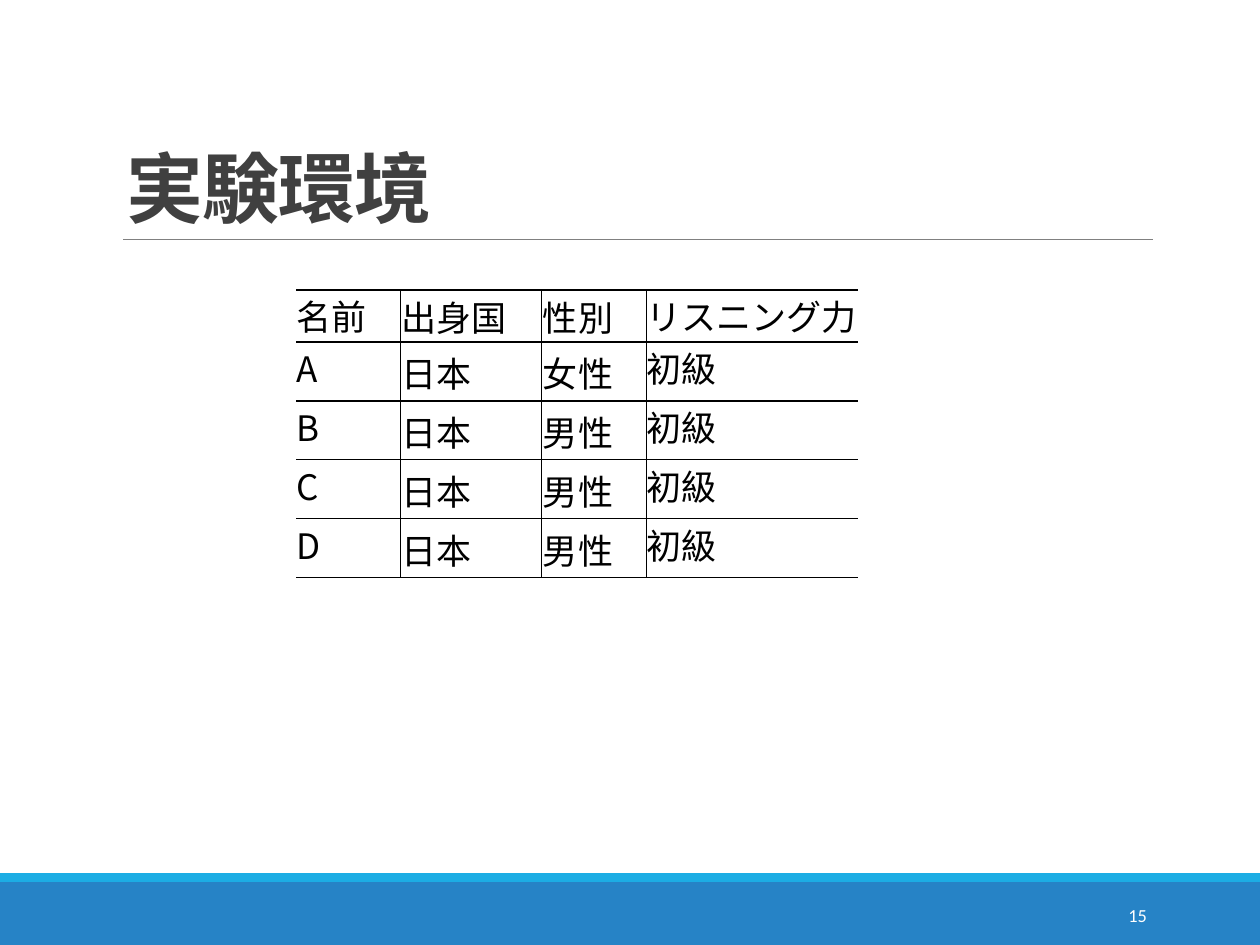
from lxml.etree import SubElement
from pptx import Presentation
from pptx.dml.color import RGBColor
from pptx.enum.shapes import MSO_CONNECTOR, MSO_SHAPE
from pptx.enum.text import MSO_ANCHOR as ANCHOR, MSO_AUTO_SIZE, PP_ALIGN as ALIGN
from pptx.oxml.ns import qn
from pptx.util import Inches, Pt

COLUMNS, ROWS = 100, 75
JAPANESE, SERIF, NUMERAL = "Noto Sans CJK JP", "TeX Gyre Schola", "Calibri"
BLACK = "000000"

MEMBERS = [
    ["名前", "出身国", "性別", "リスニング力"],
    ["A", "日本", "女性", "初級"],
    ["B", "日本", "男性", "初級"],
    ["C", "日本", "男性", "初級"],
    ["D", "日本", "男性", "初級"],
]


def color(value):
    return RGBColor.from_string(value)


class SlideBuilder:
    """Places elements in grid units: 100 columns by 75 rows per slide."""

    def __init__(self, deck):
        self.column = deck.slide_width / COLUMNS
        self.row = deck.slide_height / ROWS
        self.slide = deck.slides.add_slide(deck.slide_layouts[5])
        self.shapes = self.slide.shapes

    def area(self, left, top, width, height):
        return (round(left * self.column), round(top * self.row),
                round(width * self.column), round(height * self.row))

    def style(self, paragraph, size, font, fill, align, bold=False):
        paragraph.alignment = align
        for run in paragraph.runs:
            run.font.size, run.font.name, run.font.bold = Pt(size), font, bold
            run.font.color.rgb = color(fill)
            SubElement(run.font._element, qn("a:ea")).set("typeface", JAPANESE)

    def band(self, area, fill):
        band = self.shapes.add_shape(MSO_SHAPE.RECTANGLE, *self.area(*area))
        band.shadow.inherit = False
        band.fill.solid()
        band.fill.fore_color.rgb = color(fill)
        band.line.fill.background()

    def rule(self, left, right, top, stroke, weight):
        x, y, width, _ = self.area(left, top, right - left, 0)
        rule = self.shapes.add_connector(MSO_CONNECTOR.STRAIGHT, x, y, x + width, y)
        rule.line.color.rgb = color(stroke)
        rule.line.width = Pt(weight)
        SubElement(rule._element.spPr, qn("a:effectLst"))

    def title(self, text, area):
        title = self.shapes.title
        title.left, title.top, title.width, title.height = self.area(*area)
        frame = title.text_frame
        frame.text = text
        frame.auto_size = MSO_AUTO_SIZE.NONE
        frame.vertical_anchor = ANCHOR.BOTTOM
        heading = frame.paragraphs[0]
        heading.line_spacing = 0.85
        self.style(heading, 44, JAPANESE, "404040", ALIGN.LEFT, bold=True)
        heading.runs[0].font._element.set("spc", "-50")

    def page_number(self, text, area):
        frame = self.shapes.add_textbox(*self.area(*area)).text_frame
        frame.word_wrap = True
        frame.vertical_anchor = ANCHOR.MIDDLE
        frame.text = text
        self.style(frame.paragraphs[0], 10.5, NUMERAL, "FFFFFF", ALIGN.RIGHT)

    def borders(self, cell, open_sides):
        for side in "LRTB":
            line = SubElement(cell._tc.get_or_add_tcPr(), qn(f"a:ln{side}"), w=str(Pt(1)))
            if side in open_sides:
                SubElement(line, qn("a:noFill"))
            else:
                SubElement(SubElement(line, qn("a:solidFill")), qn("a:srgbClr"), val=BLACK)

    def table(self, records, left, top, widths, heights):
        area = self.area(left, top, sum(widths), sum(heights))
        table = self.shapes.add_table(len(records), len(widths), *area).table
        table.first_row = table.horz_banding = False
        for column, width in zip(table.columns, widths):
            column.width = round(width * self.column)
        last = len(widths) - 1
        for r, record in enumerate(records):
            table.rows[r].height = round(heights[r] * self.row)
            for c, text in enumerate(record):
                cell = table.cell(r, c)
                inner = 0 < c < last
                inset = Inches(0.01) if inner else 0
                cell.margin_left = cell.margin_right = cell.margin_top = inset
                cell.margin_bottom = 0
                cell.vertical_anchor = ANCHOR.MIDDLE if inner else ANCHOR.TOP
                self.borders(cell, {0: "L", last: "R"}.get(c, ""))
                cell.fill.background()
                cell.text_frame.text = text
                font = JAPANESE if text.isascii() else SERIF
                self.style(cell.text_frame.paragraphs[0], 20, font, BLACK, ALIGN.JUSTIFY)


def main():
    deck = Presentation()
    deck.slide_width, deck.slide_height = Inches(10), Inches(7.5)
    page = SlideBuilder(deck)
    page.band((0, 70, COLUMNS, 5), "2683C6")
    page.band((0, 69.3, COLUMNS, 0.7), "1CADE4")
    page.rule(9.8, 91.5, 19, "808080", 0.5)
    page.title("実験環境", (9, 3.1, 82.5, 15.9))
    page.table(MEMBERS, 23.5, 23, [8.3, 11.2, 8.3, 16.8], [4.1] + [4.68] * 4)
    page.page_number("15", (81.2, 70.6, 10.8, 4))
    deck.save("out.pptx")


if __name__ == "__main__":
    main()
